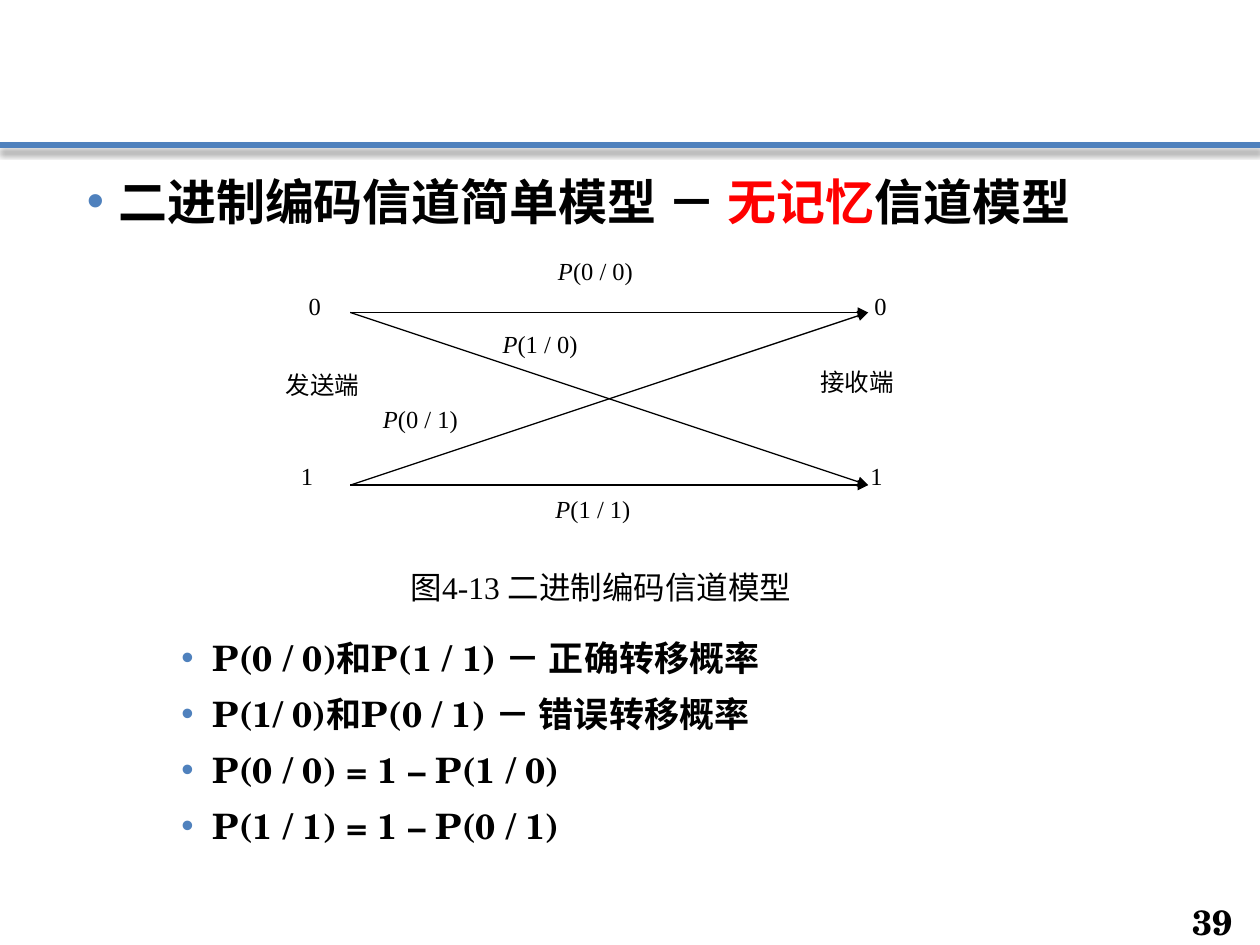
from lxml import etree
from pptx import Presentation
from pptx.dml.color import RGBColor
from pptx.enum.shapes import MSO_CONNECTOR
from pptx.enum.text import MSO_ANCHOR, PP_ALIGN
from pptx.oxml.ns import qn
from pptx.util import Inches, Pt

LINE = MSO_CONNECTOR.STRAIGHT
MIDDLE = MSO_ANCHOR.MIDDLE
LEFT, CENTER, RIGHT = PP_ALIGN.LEFT, PP_ALIGN.CENTER, PP_ALIGN.RIGHT
BLUE, BLACK, RED = "4F81BD", "000000", "FF0000"
HEAD, SERIF = "TeX Gyre Schola", "Times New Roman"
UNIT = Inches(0.1)  # the grid has 100 columns and 75 rows
START, END = 27.8, 68.9  # columns of the sending and receiving ends
ZERO, ONE = 24.8, 38.5  # rows of the two symbols


def grid(n):
    return round(n * UNIT)


def color(code):
    return RGBColor.from_string(code)


def add_node(parent, tag, **attrs):
    return etree.SubElement(parent, qn(tag), **attrs)


def add_box(slide, col, row, cols, rows):
    box = slide.shapes.add_textbox(*map(grid, (col, row, cols, rows)))
    box.text_frame.word_wrap = True
    return box.text_frame


def add_run(para, text, size, font=SERIF, code=BLACK, bold=False, slant=False):
    run = para.add_run()
    run.text = text
    face = run.font
    face.name, face.size = font, Pt(size)
    face.bold, face.italic = bold, slant
    face.color.rgb = color(code)


def add_label(slide, text, col, row, cols=10.9, rows=4.9, size=14, align=LEFT):
    """Serif label; a leading P is set in italics."""
    para = add_box(slide, col, row, cols, rows).paragraphs[0]
    para.alignment = align
    if text.startswith("P"):
        add_run(para, "P", size, slant=True)
        text = text[1:]
    add_run(para, text, size)


def set_bullet(para, indent):
    props = para._p.get_or_add_pPr()
    props.set("marL", str(Inches(indent)))
    props.set("indent", str(-Inches(0.25)))
    add_node(add_node(props, "a:buClr"), "a:srgbClr", val=BLUE)
    add_node(props, "a:buFont", typeface="Arial")
    add_node(props, "a:buChar", char="•")


def add_line(slide, ends, code, width):
    """Return the line's properties and its empty effect list."""
    line = slide.shapes.add_connector(LINE, *map(grid, ends))
    line.line.color.rgb = color(code)
    line.line.width = Pt(width)
    props = line._element.spPr
    return props, add_node(props, "a:effectLst")


def add_arrow(slide, *ends):
    props, _ = add_line(slide, ends, BLACK, 0.75)
    add_node(props.find(qn("a:ln")), "a:tailEnd", type="triangle")


def add_rule(slide):
    _, effects = add_line(slide, (0, 11.5, 100, 11.5), BLUE, 3)
    shade = add_node(effects, "a:outerShdw", blurRad=str(Pt(4)),
                     dist=str(Pt(3)), dir="5400000", rotWithShape="0")
    tint = add_node(shade, "a:srgbClr", val=BLACK)
    add_node(tint, "a:alpha", val="43000")


def add_title(slide):
    para = add_box(slide, 5.9, 13.1, 88.2, 7).paragraphs[0]
    set_bullet(para, 0.25)
    for text, code in (("二进制编码信道简单模型 － ", BLACK),
                       ("无记忆", RED), ("信道模型", BLACK)):
        add_run(para, text, 28, HEAD, code, bold=True)


def add_list(slide, items):
    frame = add_box(slide, 5.9, 50, 88.2, 18.2)
    for i, text in enumerate(items):
        para = frame.add_paragraph() if i else frame.paragraphs[0]
        para.space_before = Pt(8 if i else 0)
        set_bullet(para, 1)
        add_run(para, text, 20, HEAD, bold=True)


def add_number(slide, text):
    frame = add_box(slide, 91.9, 71.7, 6.9, 2.8)
    frame.vertical_anchor = MIDDLE
    para = frame.paragraphs[0]
    para.alignment = RIGHT
    add_run(para, text, 20, HEAD, bold=True)


def add_model(slide):
    for text, col, row in (("P(1 / 0)", 38.9, 25.6), ("P(0 / 1)", 29.4, 31.6),
                           ("P(0 / 0)", 43.3, 19.8), ("P(1 / 1)", 43.1, 38.7)):
        add_label(slide, text, col, row)
    for text, col, row in (("0", 23.5, 22.6), ("0", 68.4, 22.6),
                           ("1", 22.9, 36.1), ("1", 68.1, 36.1)):
        add_label(slide, text, col, row, 5.9, 4.2)
    for text, col, row in (("发送端", 21.7, 28.9), ("接收端", 64.1, 28.6)):
        add_label(slide, text, col, row, 10.2, 4.2)
    for sent in (ZERO, ONE):
        for got in (ZERO, ONE):
            add_arrow(slide, START, sent, END, got)
    add_label(slide, "图4-13 二进制编码信道模型", 26.3, 44.6, 42.8, 6.1,
              18, CENTER)


def main():
    deck = Presentation()
    deck.slide_width, deck.slide_height = grid(100), grid(75)
    slide = deck.slides.add_slide(deck.slide_layouts[6])
    add_rule(slide)
    add_title(slide)
    add_model(slide)
    add_list(slide, ("P(0 / 0)和P(1 / 1) － 正确转移概率",
                     "P(1/ 0)和P(0 / 1) － 错误转移概率",
                     "P(0 / 0) = 1 – P(1 / 0)",
                     "P(1 / 1) = 1 – P(0 / 1)"))
    add_number(slide, "39")
    deck.save("out.pptx")


if __name__ == "__main__":
    main()
